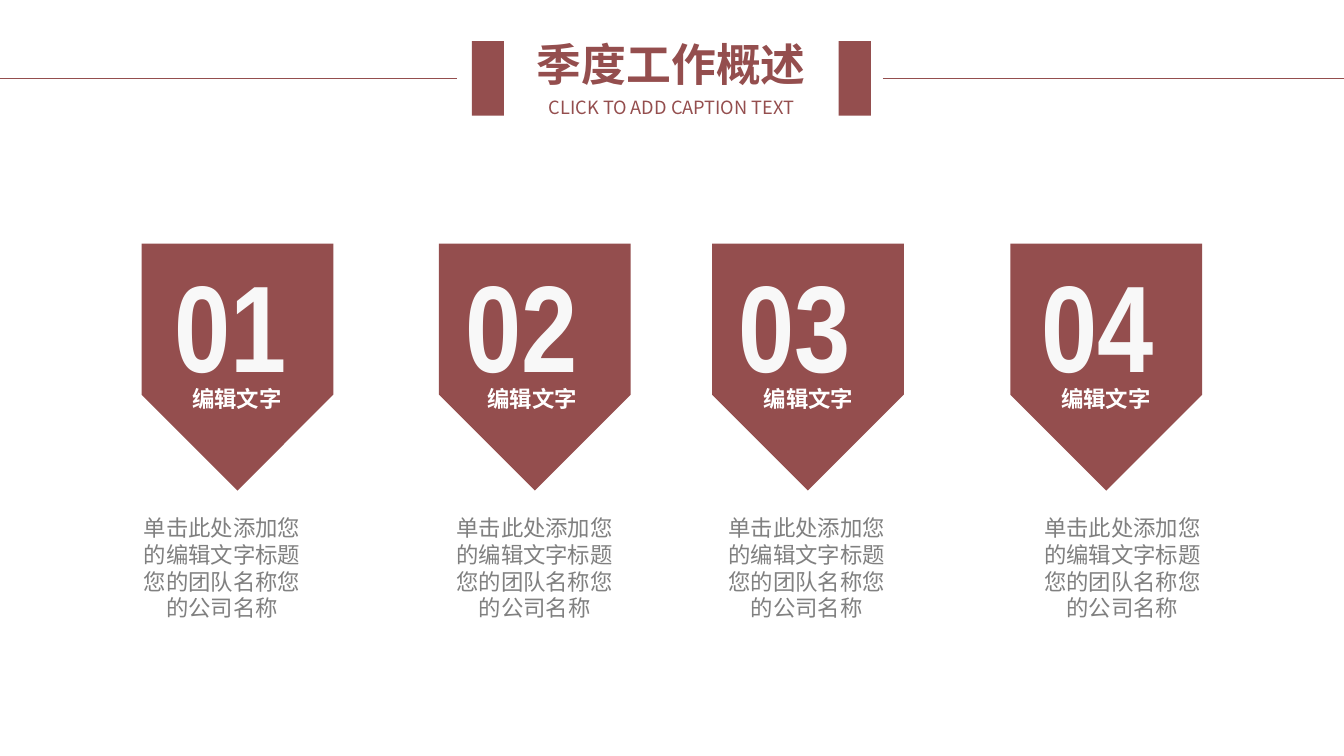
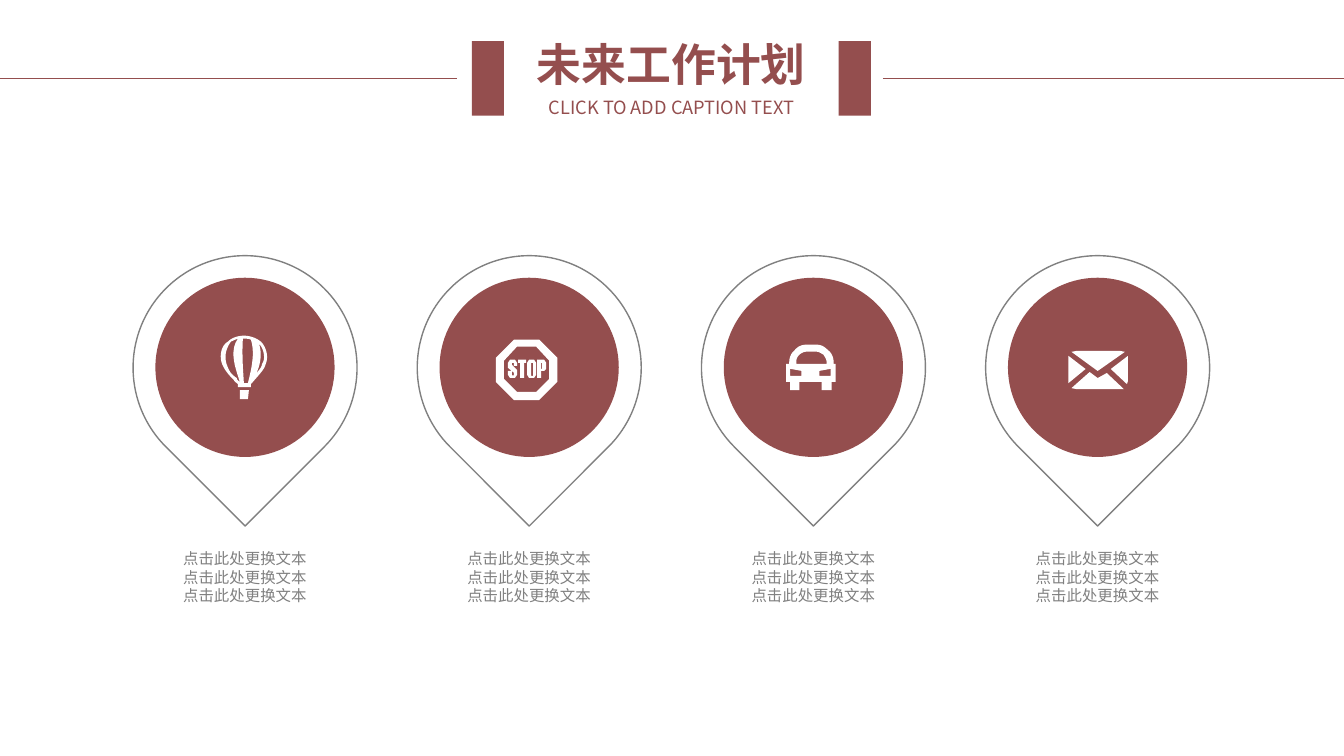
from lxml.etree import SubElement
from pptx import Presentation
from pptx.dml.color import RGBColor
from pptx.enum.shapes import MSO_CONNECTOR, MSO_SHAPE
from pptx.enum.text import MSO_ANCHOR, PP_ALIGN
from pptx.oxml.ns import qn
from pptx.util import Pt

RED = RGBColor(0x94, 0x4E, 0x4E)
GREY = RGBColor(0x80, 0x80, 0x80)
WHITE = RGBColor(0xFF, 0xFF, 0xFF)
OFF_WHITE = RGBColor(0xF8, 0xF8, 0xF8)
BODY_FONT = "Noto Sans CJK SC"
NUMBER_FONT = "Arial Narrow"
SLIDE_W, SLIDE_H = 960, 540

# Content
OVERVIEW_TITLE = "季度工作概述"
PLAN_TITLE = "未来工作计划"
SUBTITLE = "CLICK TO ADD CAPTION TEXT"
BADGE_LABEL = "编辑文字"
BADGE_NOTE = "单击此处添加您的编辑文字标题您的团队名称您的公司名称"
PIN_LINES = ["点击此处更换文本"] * 3

# Number, badge centre, then left edges of number, label and note
BADGES = [
    ("01", 169.6, 117.4, 130.3, 91.4),
    ("02", 382, 325.4, 341.3, 314.6),
    ("03", 577.1, 520.6, 538.6, 509),
    ("04", 790.2, 736.6, 751, 734.4),
]

# Icon contours in units of 0.72 pt: a pair is a corner, six values are a cubic curve
ICON_UNIT = 0.72
CURVE_STEPS = 10

BALLOON = [
    [(23, 0), (29, 0, 35, 2, 40, 6), (43, 9, 46, 15, 46, 21), (46, 25, 45, 27, 44, 30),
     (43, 34, 35, 42, 31, 47), (30, 48), (30, 51), (17, 51), (17, 48),
     (16, 47, 14, 46, 13, 44), (7, 38, 0, 30, 0, 21), (0, 15, 2, 9, 7, 6),
     (11, 2, 17, 0, 23, 0)],
    [(28, 54), (27, 63), (19, 63), (19, 54)],
    [(23, 47), (27, 47), (31, 31, 34, 17, 30, 4), (28, 3, 26, 3, 23, 3), (22, 3),
     (21, 17, 22, 32, 23, 47)],
    [(10, 6), (3, 16, 3, 26, 10, 37), (12, 39, 14, 41, 16, 42), (16, 44, 17, 44, 19, 46),
     (15, 33, 8, 16, 17, 3), (14, 4, 12, 5, 10, 6)],
    [(38, 8), (41, 17, 40, 28, 35, 38), (38, 34, 41, 31, 41, 28), (43, 25, 43, 23, 43, 21),
     (43, 16, 41, 11, 38, 8)],
]
STOP_SIGN = [
    [(0, 18), (0, 42), (18, 60), (43, 60), (61, 42), (61, 18), (43, 0), (18, 0)],
    [(8, 21), (8, 39), (21, 52), (40, 52), (53, 39), (53, 21), (40, 7), (21, 7)],
    # Letters S, T, O and P
    [(12, 31), (16, 31), (16, 35), (17, 36), (18, 35), (18, 33), (12, 28), (12, 23),
     (14, 20), (19, 20), (21, 23), (21, 26), (18, 26), (18, 23), (16, 23), (16, 25),
     (21, 30), (21, 35), (19, 38), (14, 38), (12, 35)],
    [(30, 23), (28, 23), (28, 38), (24, 38), (24, 23), (22, 23), (22, 20), (30, 20)],
    [(31, 23), (33, 20), (38, 20), (40, 23), (40, 35), (38, 38), (33, 38), (31, 35)],
    [(35, 23), (37, 23), (37, 36), (35, 36)],
    [(45, 31), (45, 38), (41, 38), (41, 20), (48, 20), (50, 23), (50, 29), (48, 31)],
    [(45, 23), (46, 23), (46, 29), (45, 29)],
]
CAR = [
    [(0, 19), (3, 19), (3, 17), (3, 13, 5, 8, 8, 6), (11, 2, 15, 0, 20, 0), (30, 0),
     (35, 0, 38, 2, 42, 6), (45, 8, 47, 13, 47, 17), (47, 19), (49, 19), (49, 37),
     (45, 37), (45, 45), (35, 45), (35, 37), (13, 37), (13, 45), (4, 45), (4, 37), (0, 37)],
    [(10, 19), (40, 19), (40, 17), (40, 14, 38, 12, 37, 10), (35, 9, 33, 7, 30, 7),
     (20, 7), (17, 7, 14, 9, 13, 10), (11, 12, 10, 14, 10, 17)],
    [(44, 24), (33, 26), (33, 31), (44, 31)],
    [(4, 24), (4, 31), (15, 31), (15, 26)],
]
ENVELOPE = [
    [(8, 0), (51, 0), (56, 1), (29, 20), (3, 1)],
    [(59, 5), (42, 18), (58, 33), (59, 30)],
    [(55, 38), (8, 38), (3, 37), (21, 21), (29, 27), (38, 22)],
    [(0, 32), (17, 18), (0, 5)],
]
# Contours with left and top of the icon
PINS = [
    (BALLOON, 157.7, 239.8),
    (STOP_SIGN, 354.2, 242.6),
    (CAR, 561.6, 246.2),
    (ENVELOPE, 763.2, 250.6),
]
FIRST_PIN_X, PIN_PITCH = 175, 203


def add_text(slide, lines, left, top, width, height, size, color, bold=False,
             font_name=BODY_FONT, align=PP_ALIGN.CENTER, tight=False):
    box = slide.shapes.add_textbox(Pt(left), Pt(top), Pt(width), Pt(height))
    frame = box.text_frame
    frame.word_wrap = True
    if tight:
        frame.margin_left = frame.margin_right = 0
        frame.margin_top = frame.margin_bottom = 0
        frame.vertical_anchor = MSO_ANCHOR.MIDDLE
    frame.text = "\n".join(lines)
    for paragraph in frame.paragraphs:
        paragraph.alignment = align
        font = paragraph.font
        font.size, font.bold, font.name = Pt(size), bold, font_name
        font.color.rgb = color
        # East Asian letters need their own typeface entry
        defaults = paragraph._p.pPr.find(qn("a:defRPr"))
        SubElement(defaults, qn("a:ea")).set("typeface", font_name)


def paint(shape, fill=None, line=None):
    shape.shadow.inherit = False
    if fill is None:
        shape.fill.background()
    else:
        shape.fill.solid()
        shape.fill.fore_color.rgb = fill
    if line is None:
        shape.line.fill.background()
    else:
        shape.line.color.rgb = line
        shape.line.width = Pt(1)


def add_centred(slide, kind, center_x, center_y, width, height, rotation=0, **colors):
    shape = slide.shapes.add_shape(kind, Pt(center_x - width / 2), Pt(center_y - height / 2),
                                   Pt(width), Pt(height))
    shape.rotation = rotation
    paint(shape, **colors)


def trace(contour):
    """Turn corners and cubic curves into a list of points in EMU."""
    points = []
    for step in contour:
        if len(step) == 2:
            points.append(step)
            continue
        start, controls = points[-1], (step[:2], step[2:4], step[4:])
        for i in range(1, CURVE_STEPS + 1):
            t = i / CURVE_STEPS
            weights = ((1 - t) ** 3, 3 * t * (1 - t) ** 2, 3 * t * t * (1 - t), t ** 3)
            points.append(tuple(sum(w * p[axis] for w, p in zip(weights, (start, *controls)))
                                for axis in (0, 1)))
    return [(Pt(x * ICON_UNIT), Pt(y * ICON_UNIT)) for x, y in points]


def add_icon(slide, contours, left, top):
    outlines = [trace(contour) for contour in contours]
    builder = slide.shapes.build_freeform(*outlines[0][0])
    for number, (first, *rest) in enumerate(outlines):
        if number:
            builder.move_to(*first)
        builder.add_line_segments(rest, close=True)
    paint(builder.convert_to_shape(Pt(left), Pt(top)), fill=WHITE)


def add_titled_slide(deck, title):
    slide = deck.slides.add_slide(deck.slide_layouts[6])
    add_text(slide, [title], 351.4, 25.9, 256.3, 38.9, 32, RED, bold=True, tight=True)
    add_text(slide, [SUBTITLE], 351.4, 68.4, 256.3, 15.8, 13, RED, tight=True)
    for block_x in (348.5, 610.6):
        add_centred(slide, MSO_SHAPE.RECTANGLE, block_x, 56, 23, 53.3, fill=RED)
    for start, end in ((0, 326.6), (630.7, SLIDE_W)):
        rule = slide.shapes.add_connector(MSO_CONNECTOR.STRAIGHT,
                                          Pt(start), Pt(56), Pt(end), Pt(56))
        rule.line.color.rgb = RED
        rule.line.width = Pt(0.5)
        SubElement(rule._element.spPr, qn("a:effectLst"))
    return slide


def build_overview(deck):
    slide = add_titled_slide(deck, OVERVIEW_TITLE)
    for number, center_x, number_x, label_x, note_x in BADGES:
        add_centred(slide, MSO_SHAPE.PENTAGON, center_x, 262.2, 176.4, 137, 90, fill=RED)
        add_text(slide, [number], number_x, 174.2, 108, 113.8, 88, OFF_WHITE, bold=True,
                 font_name=NUMBER_FONT, align=PP_ALIGN.LEFT)
        add_text(slide, [BADGE_LABEL], label_x, 271.4, 108, 26.6, 16, WHITE, bold=True,
                 align=PP_ALIGN.LEFT)
        add_text(slide, [BADGE_NOTE], note_x, 363.6, 134.6, 85, 16, GREY)


def build_plan(deck):
    slide = add_titled_slide(deck, PLAN_TITLE)
    for index, (contours, icon_x, icon_y) in enumerate(PINS):
        center_x = FIRST_PIN_X + index * PIN_PITCH
        add_centred(slide, MSO_SHAPE.TEAR, center_x, 262.6, 160, 160, 135, line=GREY)
        add_centred(slide, MSO_SHAPE.OVAL, center_x, 262.4, 128, 128, fill=RED)
        add_icon(slide, contours, icon_x, icon_y)
        add_text(slide, PIN_LINES, center_x - 98, 388.8, 196, 47.5, 11, GREY)


def main():
    deck = Presentation()
    deck.slide_width, deck.slide_height = Pt(SLIDE_W), Pt(SLIDE_H)
    build_overview(deck)
    build_plan(deck)
    deck.save("out.pptx")


if __name__ == "__main__":
    main()
